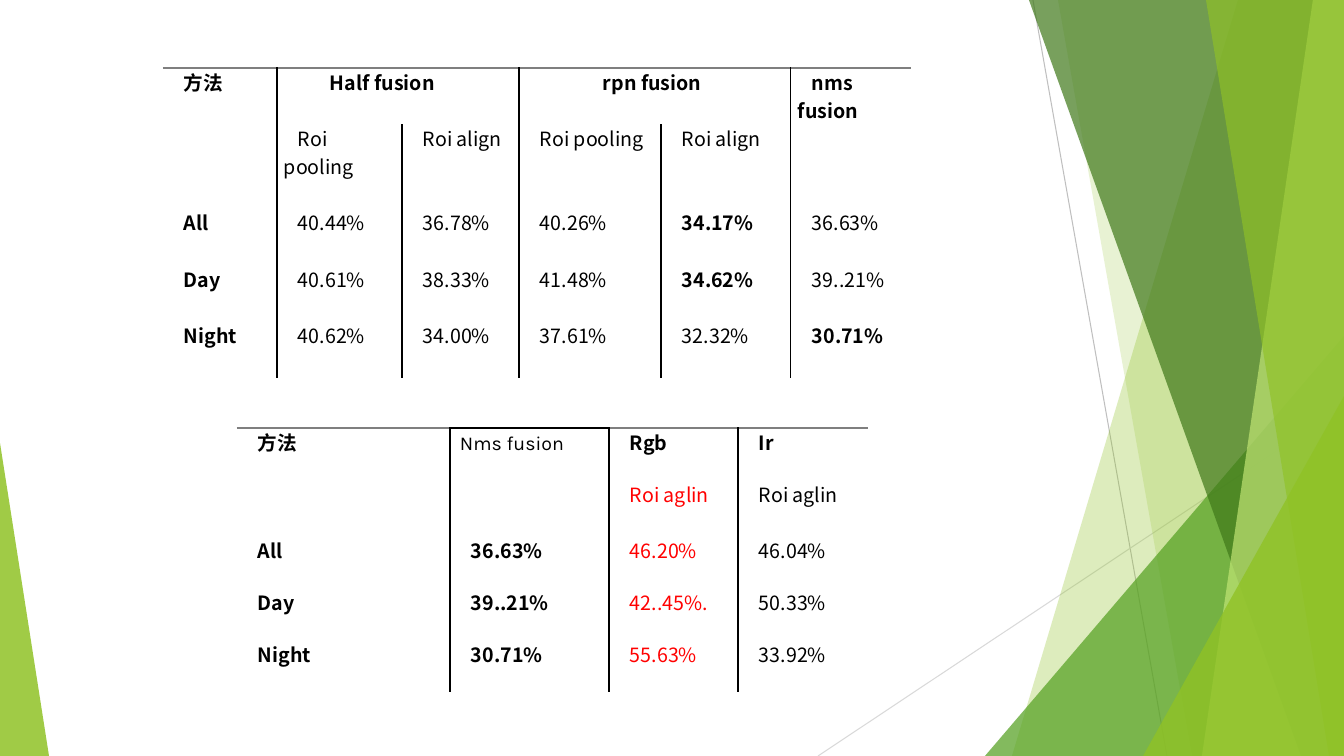
from lxml import etree
from pptx import Presentation
from pptx.dml.color import RGBColor
from pptx.enum.shapes import MSO_CONNECTOR, MSO_SHAPE
from pptx.enum.text import PP_ALIGN
from pptx.oxml.ns import qn
from pptx.util import Pt

STRAIGHT = MSO_CONNECTOR.STRAIGHT
TRIANGLE = MSO_SHAPE.ISOSCELES_TRIANGLE
JUSTIFY, LEFT = PP_ALIGN.JUSTIFY, PP_ALIGN.LEFT
WIDTH, HEIGHT = 1344, 756
EMU_PER_PX = 12192000 / WIDTH
BLACK, GREY, RED = "000000", "7F7F7F", "FF0000"
LEAF = "90C226"


def px(length):
    return round(length * EMU_PER_PX)


def color(hex_text):
    return RGBColor.from_string(hex_text)


def write(cell, text, bold=False, ink=BLACK, font="Noto Sans CJK SC", size=14,
          align=JUSTIFY, indent=14, spacing=20, margins=(7, 0)):
    """Fill a table cell with one formatted paragraph."""
    cell.margin_left = cell.margin_right = px(margins[0])
    cell.margin_top = cell.margin_bottom = px(margins[1])
    paragraph = cell.text_frame.paragraphs[0]
    paragraph.alignment = align
    if spacing:
        paragraph.line_spacing = Pt(spacing)
    properties = paragraph._p.get_or_add_pPr()
    properties.set("marL", "0")
    properties.set("indent", str(px(indent)))
    run = paragraph.add_run()
    run.text = text
    run.font.size, run.font.bold, run.font.name = Pt(size), bold, font
    run.font.color.rgb = color(ink)
    for script in ("a:ea", "a:cs"):
        etree.SubElement(run._r.get_or_add_rPr(), qn(script)).set("typeface", font)


def set_borders(cell, **edges):
    """Draw the given edges (L, R, T, B) in 1 pt and hide the others."""
    properties = cell._tc.get_or_add_tcPr()
    for side in "LRTB":
        line = etree.SubElement(properties, qn("a:ln" + side), w=str(Pt(1)))
        if edges.get(side):
            fill = etree.SubElement(line, qn("a:solidFill"))
            etree.SubElement(fill, qn("a:srgbClr"), val=edges[side])
        else:
            etree.SubElement(line, qn("a:noFill"))


class SlideBuilder:
    def __init__(self, slide):
        self.shapes = slide.shapes

    def line(self, start, end, ink):
        connector = self.shapes.add_connector(STRAIGHT, *map(px, start + end))
        connector.line.color.rgb = color(ink)
        connector.line.width = Pt(0.75)
        etree.SubElement(connector._element.spPr, qn("a:effectLst"))

    def paint(self, shape, ink, opacity):
        shape.shadow.inherit = False
        shape.line.fill.background()
        shape.fill.solid()
        shape.fill.fore_color.rgb = color(ink)
        tone = shape._element.spPr.find(qn("a:solidFill"))[0]
        etree.SubElement(tone, qn("a:alpha"), val=str(opacity * 1000))

    def band(self, top_x, bottom_x, ink, opacity):
        """A slanted panel reaching the right edge of the slide."""
        outline = self.shapes.build_freeform(top_x, 0, scale=EMU_PER_PX)
        outline.add_line_segments(
            [(WIDTH, 0), (WIDTH, HEIGHT), (bottom_x, HEIGHT)], close=True)
        self.paint(outline.convert_to_shape(), ink, opacity)

    def triangle(self, left, top, width, apex, ink, opacity):
        """A right triangle standing on the bottom edge of the slide."""
        shape = self.shapes.add_shape(
            TRIANGLE, px(left), px(top), px(width), px(HEIGHT - top))
        shape.adjustments[0] = apex
        self.paint(shape, ink, opacity)

    def table(self, left, top, widths, heights, rows, formats, merges=()):
        frame = self.shapes.add_table(
            len(rows), len(widths), px(left), px(top), px(sum(widths)), px(sum(heights)))
        table = frame.table
        table.first_row = table.horz_banding = False
        for column, width in zip(table.columns, widths):
            column.width = px(width)
        for row, height in zip(table.rows, heights):
            row.height = px(height)
        last = len(widths) - 1
        for r, texts in enumerate(rows):
            for c, text in enumerate(texts):
                cell = table.cell(r, c)
                inside_merge = r == 0 and c - 1 in merges
                set_borders(cell,
                            L=BLACK if c > 0 and not inside_merge else None,
                            R=BLACK if c < last else None,
                            T=GREY if r == 0 else None)
                cell.fill.background()
                if text:
                    style = {"bold": r == 0 or c == 0}
                    style.update(formats.get((None, c), {}) if r else {})
                    style.update(formats.get((r, c), {}))
                    write(cell, text, **style)
        for c in merges:
            table.cell(0, c).merge(table.cell(0, c + 1))
        return table


def main():
    presentation = Presentation()
    presentation.slide_width, presentation.slide_height = px(WIDTH), px(HEIGHT)
    builder = SlideBuilder(presentation.slides.add_slide(presentation.slide_layouts[6]))

    # Green facets along the edges
    builder.line((1033, 0), (1167, HEIGHT), "BFBFBF")
    builder.line((WIDTH, 406), (818, HEIGHT), "D9D9D9")
    builder.band(1238, 1012, LEAF, 30)
    builder.band(1058, 1192, LEAF, 20)
    builder.triangle(985, 336, 359, 1, "54A021", 72)
    builder.band(1029, 1301, "3F7819", 70)
    builder.band(1313, 1202, "C0E474", 70)
    builder.band(1206, 1329, LEAF, 65)
    builder.triangle(1143, 396, 201, 1, LEAF, 80)
    builder.triangle(0, 443, 49, 0, LEAF, 85)

    # Fusion methods
    strong = {"bold": True}
    builder.table(
        163, 68, [114, 125, 117, 142, 130, 120], [56, 84, 57, 56, 57],
        [["方法", "Half fusion", "", "rpn fusion", "", "nms fusion"],
         ["", "Roi pooling", "Roi align", "Roi pooling", "Roi align", ""],
         ["All", "40.44%", "36.78%", "40.26%", "34.17%", "36.63%"],
         ["Day", "40.61%", "38.33%", "41.48%", "34.62%", "39..21%"],
         ["Night", "40.62%", "34.00%", "37.61%", "32.32%", "30.71%"]],
        {(0, 1): {"indent": 46}, (0, 3): {"indent": 77},
         (2, 4): strong, (3, 4): strong, (4, 5): strong},
        merges=(1, 3))

    # Fusion against single inputs
    comparison = builder.table(
        237, 428, [213, 159, 129, 130], [52, 56, 52, 52, 52],
        [["方法", "Nms fusion", "Rgb", "Ir"],
         ["", "", "Roi aglin", "Roi aglin"],
         ["All", "36.63%", "46.20%", "46.04%"],
         ["Day", "39..21%", "42..45%.", "50.33%"],
         ["Night", "30.71%", "55.63%", "33.92%"]],
        {(0, 1): {"bold": False, "font": "Karla", "align": LEFT, "indent": 0,
                  "spacing": None, "margins": (10, 5)},
         (None, 1): strong, (None, 2): {"ink": RED}})
    top_edge = comparison.cell(0, 1)._tc.tcPr.find(qn("a:lnT"))
    top_edge.find(".//" + qn("a:srgbClr")).set("val", BLACK)

    presentation.save("out.pptx")


if __name__ == "__main__":
    main()
